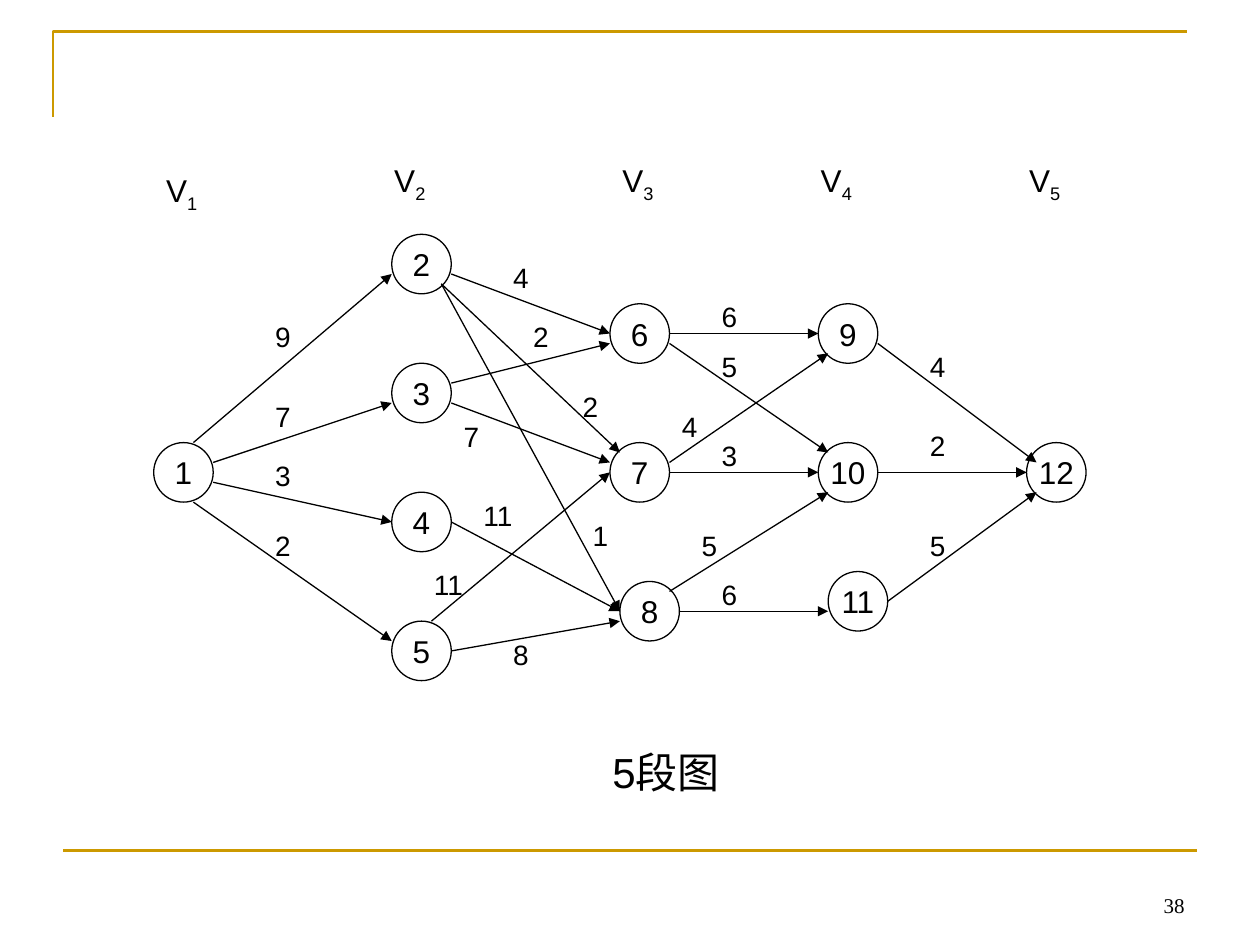
from lxml.etree import SubElement
from pptx import Presentation
from pptx.dml.color import RGBColor
from pptx.enum.shapes import MSO_CONNECTOR, MSO_SHAPE
from pptx.enum.text import MSO_ANCHOR, PP_ALIGN
from pptx.oxml.ns import qn
from pptx.util import Inches, Pt

WIDTH, HEIGHT = Inches(10), Inches(7.5)
BLACK, GOLD = "000000", "CC9900"
COLUMNS = 94  # grid columns across the graph; rows have the same pitch
NODE = 6  # node diameter in grid units

# node: column, row of its top left corner
NODES = {
    1: (0, 29),
    2: (24, 8), 3: (24, 21), 4: (24, 34), 5: (24, 47),
    6: (46, 15), 7: (46, 29), 8: (47, 43),
    9: (67, 15), 10: (67, 29), 11: (68, 42),
    12: (88, 29),
}

# from node, offset of the start in it, to node, offset of the end in it,
# cost, column and row of the cost label
EDGES = [
    (1, (4, 0), 2, (0, 4), 9, (11, 16)),
    (1, (6, 2), 3, (0, 4), 7, (11, 24)),
    (1, (6, 4), 4, (0, 3), 3, (11, 30)),
    (1, (4, 6), 5, (0, 2), 2, (11, 37)),
    (2, (5, 5), 8, (0, 3), 1, (43, 36)),
    (2, (5, 5), 7, (1, 1), 2, (42, 23)),
    (2, (6, 4), 6, (0, 3), 4, (35, 10)),
    (3, (6, 2), 6, (0, 4), 2, (37, 16)),
    (3, (6, 4), 7, (0, 2), 7, (30, 26)),
    (4, (6, 3), 8, (0, 3), 11, (32, 34)),
    (5, (4, 0), 7, (0, 3), 11, (27, 41)),
    (5, (6, 3), 8, (0, 4), 8, (35, 48)),
    (6, (6, 3), 9, (0, 3), 6, (56, 14)),
    (6, (6, 4), 10, (1, 1), 5, (56, 19)),
    (7, (6, 2), 9, (1, 5), 4, (52, 25)),
    (7, (6, 3), 10, (0, 3), 3, (56, 28)),
    (8, (5, 1), 10, (1, 5), 5, (54, 37)),
    (8, (6, 3), 11, (0, 4), 6, (56, 42)),
    (9, (6, 4), 12, (1, 2), 4, (77, 19)),
    (10, (6, 3), 12, (0, 3), 2, (77, 27)),
    (11, (6, 3), 12, (1, 5), 5, (77, 37)),
]

STAGES = [(0, 1), (23, 0), (46, 0), (66, 0), (87, 0)]


def rgb(value):
    return RGBColor.from_string(value)


def set_line(s, color, width):
    s.line.color.rgb = rgb(color)
    s.line.width = Pt(width)


def write(s, text, size, font="Arial", align=PP_ALIGN.LEFT,
          anchor=MSO_ANCHOR.TOP, wrap=True, subscript=""):
    tf = s.text_frame
    tf.word_wrap = wrap
    tf.vertical_anchor = anchor
    p = tf.paragraphs[0]
    p.alignment = align
    p.font.name = font
    p.font.size = Pt(size)
    p.font.color.rgb = rgb(BLACK)
    p.add_run().text = text
    if subscript:
        r = p.add_run()
        r.text = subscript
        r.font._element.set("baseline", "-25000")


def add_line(slide, start, end, color, width, arrow=False):
    s = slide.shapes.add_connector(MSO_CONNECTOR.STRAIGHT, *start, *end)
    set_line(s, color, width)
    if arrow:
        SubElement(s.line._get_or_add_ln(), qn("a:tailEnd"), type="triangle")
    SubElement(s._element.spPr, qn("a:effectLst"))


def draw_frame(slide, left, top, width, height):
    """Gold corner at the top, gold rule at the bottom and the page number."""
    corner = slide.shapes.build_freeform(left, top + int(height * 0.09))
    corner.add_line_segments([(left, top), (left + width, top)], close=False)
    s = corner.convert_to_shape()
    s.shadow.inherit = False
    s.fill.background()
    set_line(s, GOLD, 1.5)

    rule_left, rule_top = int(WIDTH * 0.05), int(HEIGHT * 0.9)
    add_line(slide, (rule_left, rule_top), (rule_left + width, rule_top), GOLD, 1.5)

    box_width = Inches(2.33)
    number = slide.shapes.add_textbox(rule_left + width - box_width, Inches(6.83),
                                      box_width, Inches(0.5))
    write(number, "38", 12, "Times New Roman", PP_ALIGN.RIGHT, MSO_ANCHOR.BOTTOM)


def draw_graph(slide, left, top, width):
    """Multistage graph with its costs, stage names and caption."""
    unit = width / COLUMNS

    def at(col, row):
        return int(left + col * unit), int(top + row * unit)

    def label(cell, cols, rows, text, size, subscript=""):
        s = slide.shapes.add_textbox(*at(*cell), int(cols * unit), int(rows * unit))
        write(s, text, size, subscript=subscript)

    def node_point(node, offset):
        return at(NODES[node][0] + offset[0], NODES[node][1] + offset[1])

    for node, cell in NODES.items():
        s = slide.shapes.add_shape(MSO_SHAPE.OVAL, *at(*cell),
                                   int(NODE * unit), int(NODE * unit))
        s.shadow.inherit = False
        s.fill.background()
        set_line(s, BLACK, 0.75)
        write(s, str(node), 18, align=PP_ALIGN.CENTER,
              anchor=MSO_ANCHOR.MIDDLE, wrap=False)

    for source, start, target, end, cost, cell in EDGES:
        add_line(slide, node_point(source, start), node_point(target, end),
                 BLACK, 0.75, arrow=True)
        label(cell, 6, 4.7, str(cost), 16)

    for number, cell in enumerate(STAGES, 1):
        label(cell, 7, 5.6, "V", 18, subscript=str(number))
    label((45, 59), 19, 6.4, "5段图", 24)


def main():
    prs = Presentation()
    prs.slide_width, prs.slide_height = WIDTH, HEIGHT
    slide = prs.slides.add_slide(prs.slide_layouts[6])
    draw_frame(slide, Inches(0.42), Inches(0.25), int(WIDTH * 0.9), HEIGHT)
    draw_graph(slide, Inches(1.22), Inches(1.23), Inches(7.4))
    prs.save("out.pptx")


if __name__ == "__main__":
    main()
